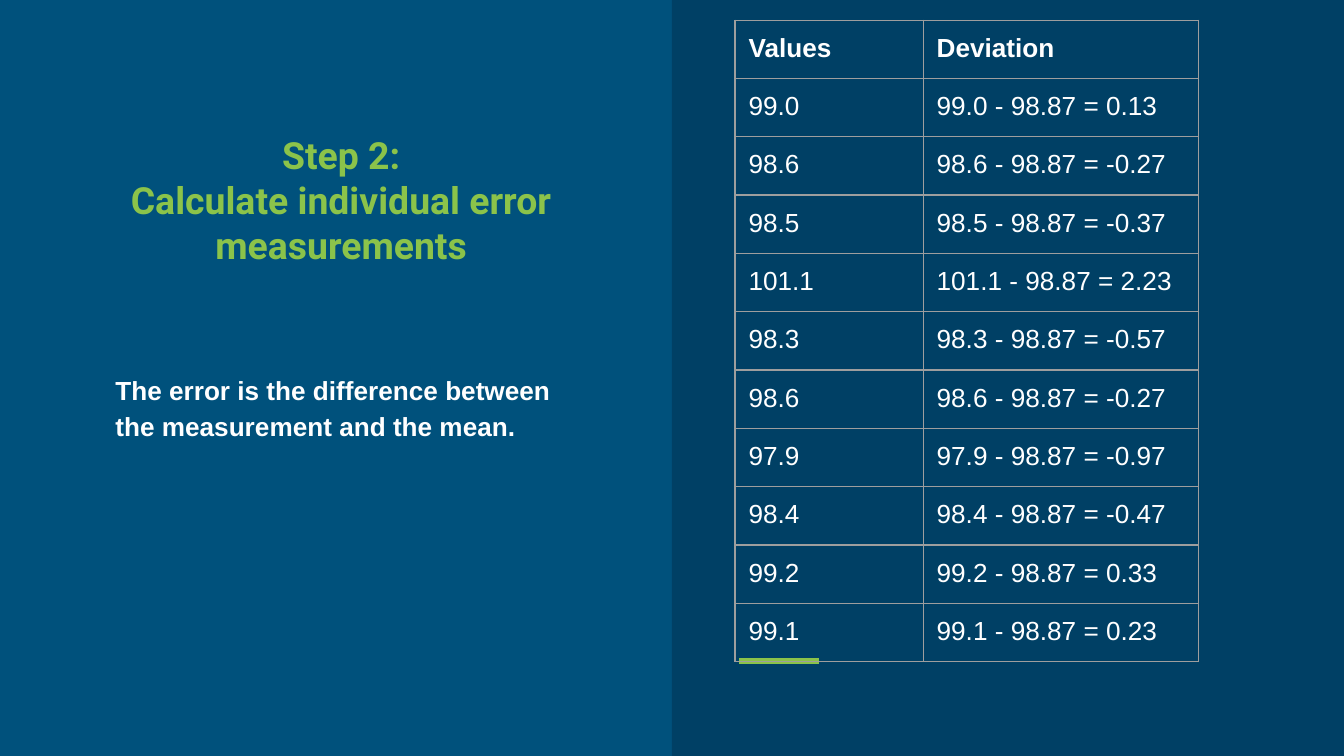
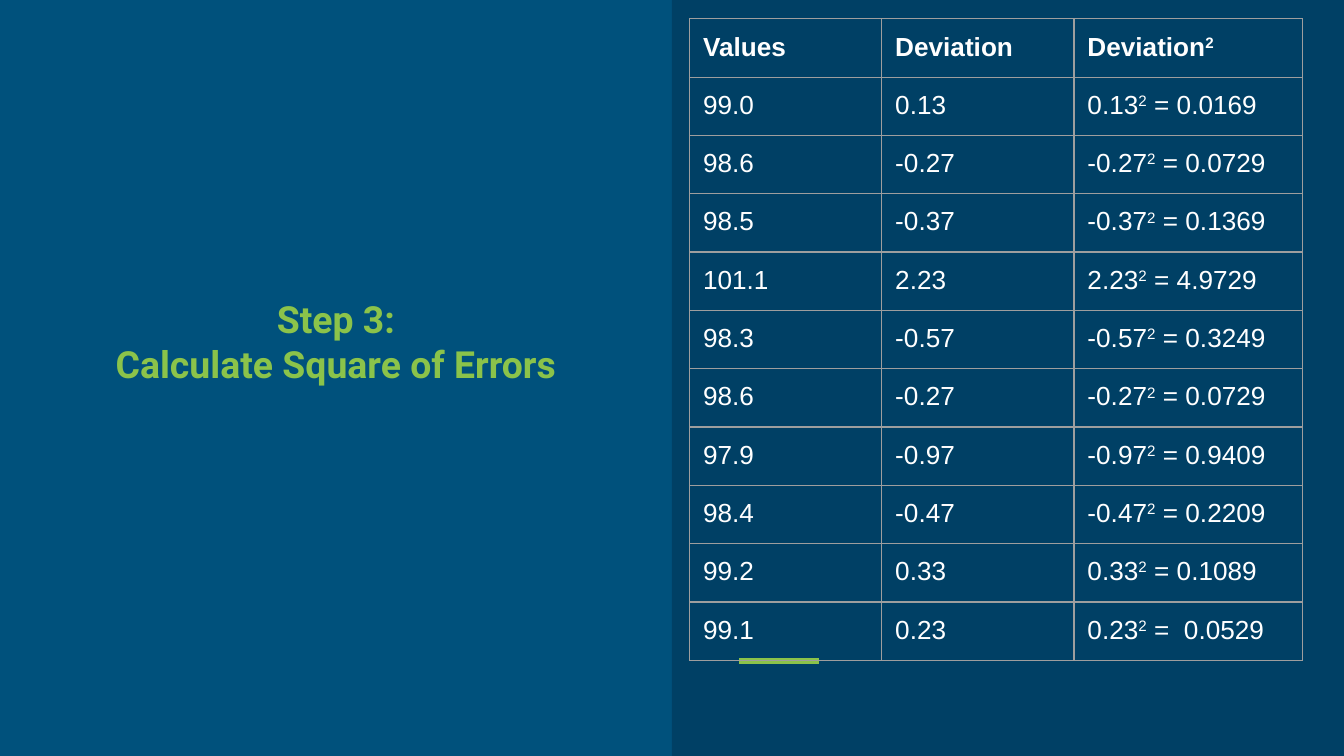
from lxml.etree import SubElement
from pptx import Presentation
from pptx.dml.color import RGBColor
from pptx.enum.shapes import MSO_CONNECTOR, MSO_SHAPE
from pptx.enum.text import MSO_ANCHOR, PP_ALIGN
from pptx.oxml.ns import qn
from pptx.util import Pt

WIDTH, HEIGHT = 720, 405
BLUE, NAVY, GREEN, WHITE, GREY = "00517C", "004065", "8BC34A", "FFFFFF", "9E9E9E"
INSET = 7.2
MEAN = "98.87"

MEASUREMENTS = [
    ("99.0", "0.13", "0.0169"),
    ("98.6", "-0.27", "0.0729"),
    ("98.5", "-0.37", "0.1369"),
    ("101.1", "2.23", "4.9729"),
    ("98.3", "-0.57", "0.3249"),
    ("98.6", "-0.27", "0.0729"),
    ("97.9", "-0.97", "0.9409"),
    ("98.4", "-0.47", "0.2209"),
    ("99.2", "0.33", "0.1089"),
    ("99.1", "0.23", " 0.0529"),
]

STEPS = [
    {
        "title": "Step 2:\nCalculate individual error measurements",
        "title_box": (23.7, 47.5, 318.2, 118.8),
        "anchor": MSO_ANCHOR.MIDDLE,
        "body": "The error is the difference between the measurement and the mean.",
        "body_box": (54.7, 190.8, 258.5, 118.8),
        "table_at": (393.8, 10.8),
        "columns": (100.8, 147.6),
        "row_height": 25.2,
        "rows": [("Values", "Deviation")]
        + [(v, f"{v} - {MEAN} = {d}") for v, d, _ in MEASUREMENTS],
    },
    {
        "title": "Step 3:\nCalculate Square of Errors",
        "title_box": (20.9, 146.2, 318.2, 67.7),
        "anchor": MSO_ANCHOR.BOTTOM,
        "table_at": (369.4, 10.1),
        "columns": (103, 103, 122.4),
        "row_height": 29.5,
        "rows": [("Values", "Deviation", "Deviation²")]
        + [(v, d, f"{d}² = {square}") for v, d, square in MEASUREMENTS],
    },
]


def rgb(color):
    return RGBColor.from_string(color)


def style_font(font, name, size, color, bold):
    font.name, font.size, font.bold = name, Pt(size), bold
    font.color.rgb = rgb(color)


def add_backdrop(s):
    s.background.fill.solid()
    s.background.fill.fore_color.rgb = rgb(BLUE)
    sp = s.shapes.add_shape(MSO_SHAPE.RECTANGLE, Pt(WIDTH / 2), 0, Pt(WIDTH / 2), Pt(HEIGHT))
    sp.shadow.inherit = False
    sp.fill.solid()
    sp.fill.fore_color.rgb = rgb(NAVY)
    sp.line.fill.background()
    rule = s.shapes.add_connector(MSO_CONNECTOR.STRAIGHT, Pt(396), Pt(354), Pt(438.7), Pt(354))
    rule.line.color.rgb = rgb(GREEN)
    rule.line.width = Pt(3)
    SubElement(rule._element.spPr, qn("a:effectLst"))


def add_text(s, box, text, font, anchor=MSO_ANCHOR.TOP):
    tf = s.shapes.add_textbox(*map(Pt, box)).text_frame
    tf.word_wrap = True
    tf.vertical_anchor = anchor
    tf.margin_left = tf.margin_right = tf.margin_top = tf.margin_bottom = Pt(INSET)
    tf.text = text
    for p in tf.paragraphs:
        for r in p.runs:
            style_font(r.font, *font)
    return tf.paragraphs


def set_borders(cell):
    tcPr = cell._tc.get_or_add_tcPr()
    for side in ("lnL", "lnR", "lnT", "lnB"):
        ln = SubElement(tcPr, qn(f"a:{side}"), w=str(Pt(0.75)))
        fill = SubElement(ln, qn("a:solidFill"))
        SubElement(fill, qn("a:srgbClr"), val=GREY)


def fill_cell(cell, text, bold):
    set_borders(cell)
    cell.fill.background()
    cell.margin_left = cell.margin_right = cell.margin_top = cell.margin_bottom = Pt(INSET)
    p = cell.text_frame.paragraphs[0]
    base, mark, rest = text.partition("²")
    for part in (base, mark, rest):
        if part:
            r = p.add_run()
            r.text = "2" if part == "²" else part
            style_font(r.font, "Arial", 14, WHITE, bold)
            if part == "²":
                r._r.get_or_add_rPr().set("baseline", "30000")


def add_grid(s, at, columns, row_height, rows):
    size = (sum(columns), row_height * len(rows))
    table = s.shapes.add_table(len(rows), len(columns), *map(Pt, at + size)).table
    table.first_row = table.horz_banding = False
    for column, width in zip(table.columns, columns):
        column.width = Pt(width)
    for i, row in enumerate(rows):
        table.rows[i].height = Pt(row_height)
        for j, text in enumerate(row):
            fill_cell(table.cell(i, j), text, bold=i == 0)


def add_step(prs, step):
    s = prs.slides.add_slide(prs.slide_layouts[6])
    add_backdrop(s)
    for p in add_text(s, step["title_box"], step["title"],
                      ("Roboto", 20, GREEN, True), step["anchor"]):
        p.alignment = PP_ALIGN.CENTER
    if "body" in step:
        for p in add_text(s, step["body_box"], step["body"], ("Arial", 14, WHITE, True)):
            p.line_spacing = 1.15
            p.space_after = Pt(16)
    add_grid(s, step["table_at"], step["columns"], step["row_height"], step["rows"])


def main():
    prs = Presentation()
    prs.slide_width, prs.slide_height = Pt(WIDTH), Pt(HEIGHT)
    for step in STEPS:
        add_step(prs, step)
    prs.save("out.pptx")


if __name__ == "__main__":
    main()
